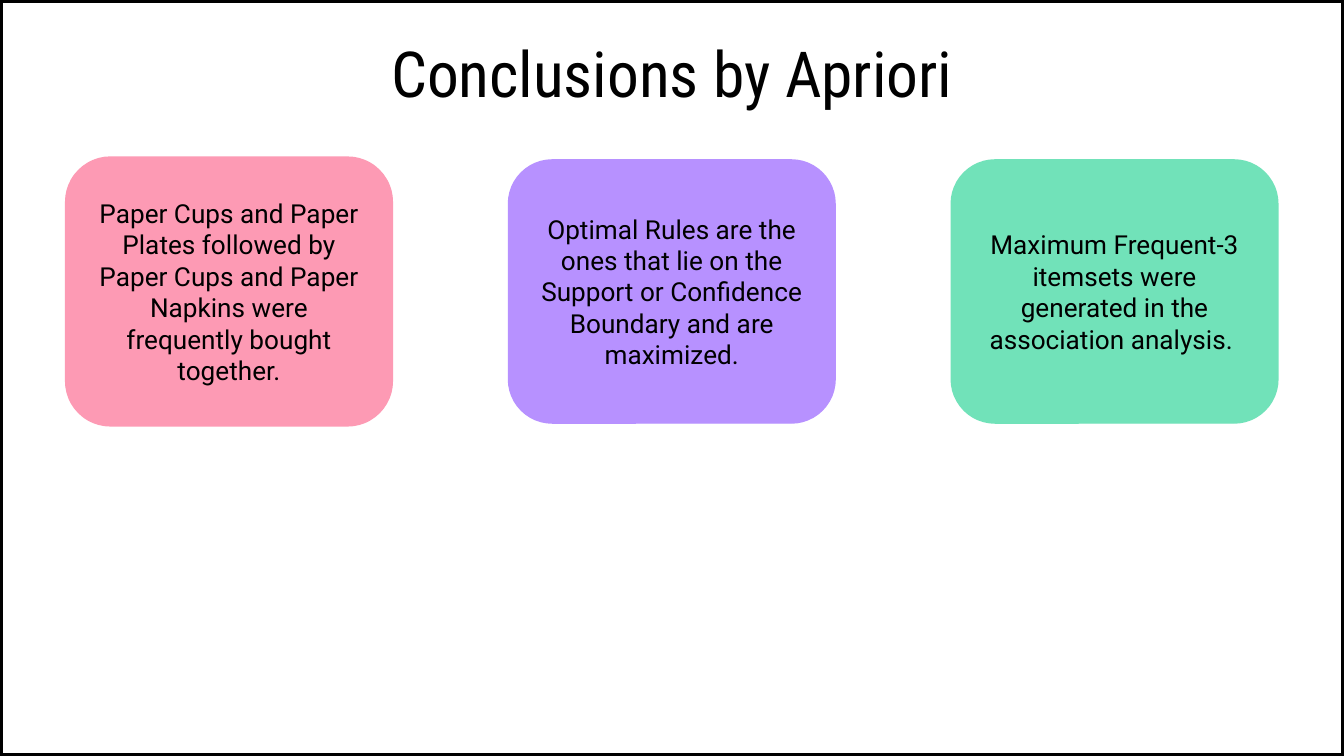
from pptx import Presentation
from pptx.dml.color import RGBColor
from pptx.enum.shapes import MSO_SHAPE
from pptx.enum.text import MSO_ANCHOR, MSO_AUTO_SIZE, PP_ALIGN
from pptx.util import Pt

COLORS = {
    "ink": "000000",
    "paper": "FFFFFF",
    "pink": "FD9AB4",
    "violet": "B791FF",
    "mint": "71E2B9",
}
FRAME_FORMAT = {
    "margin_left": Pt(7.2),
    "margin_right": Pt(7.2),
    "margin_top": Pt(7.2),
    "margin_bottom": Pt(7.2),
    "word_wrap": True,
    "auto_size": MSO_AUTO_SIZE.NONE,
    "vertical_anchor": MSO_ANCHOR.MIDDLE,
}


def color(name):
    return RGBColor.from_string(COLORS[name])


def write(shape, text, font_format):
    frame = shape.text_frame
    for name, value in FRAME_FORMAT.items():
        setattr(frame, name, value)
    paragraph = frame.paragraphs[0]
    paragraph.alignment = PP_ALIGN.CENTER
    run = paragraph.add_run()
    run.text = text
    for name, value in font_format.items():
        setattr(run.font, name, value)
    run.font.color.rgb = color("ink")


# Slide
deck = Presentation()
deck.slide_width, deck.slide_height = Pt(720), Pt(405)
slide = deck.slides.add_slide(deck.slide_layouts[5])
slide.background.fill.solid()
slide.background.fill.fore_color.rgb = color("paper")

# Title
heading = slide.shapes.title
heading_place = {"left": Pt(35.5), "top": Pt(20), "width": Pt(649), "height": Pt(37.5)}
for name, value in heading_place.items():
    setattr(heading, name, value)
write(heading, "Conclusions by Apriori", {"size": Pt(34), "name": "Roboto Condensed"})

# Border around the slide
border = slide.shapes.add_shape(
    MSO_SHAPE.RECTANGLE, 0, 0, deck.slide_width, deck.slide_height
)
border.shadow.inherit = False
border.fill.background()
border.line.color.rgb = color("ink")
border.line.width = Pt(3)

# Conclusion cards, evenly spaced and centred on one line
conclusions = [
    ("pink", 144, "Paper Cups and Paper Plates followed by Paper Cups and Paper "
                  "Napkins were frequently bought together."),
    ("violet", 141, "Optimal Rules are the ones that lie on the Support or "
                    "Confidence Boundary and are maximized."),
    ("mint", 141, "Maximum Frequent-3 itemsets were generated in the "
                  "association analysis. "),
]
card_left, card_step, card_width, card_middle = 35.2, 237.2, 175, 156.2
for index, (tint, height, conclusion) in enumerate(conclusions):
    card = slide.shapes.add_shape(
        MSO_SHAPE.ROUNDED_RECTANGLE,
        Pt(card_left + index * card_step), Pt(card_middle - height / 2),
        Pt(card_width), Pt(height),
    )
    card.shadow.inherit = False
    card.fill.solid()
    card.fill.fore_color.rgb = color(tint)
    card.line.color.rgb = color(tint)
    card.line.width = Pt(0.75)
    write(card, conclusion, {"size": Pt(14), "name": "Roboto"})

deck.save("out.pptx")
